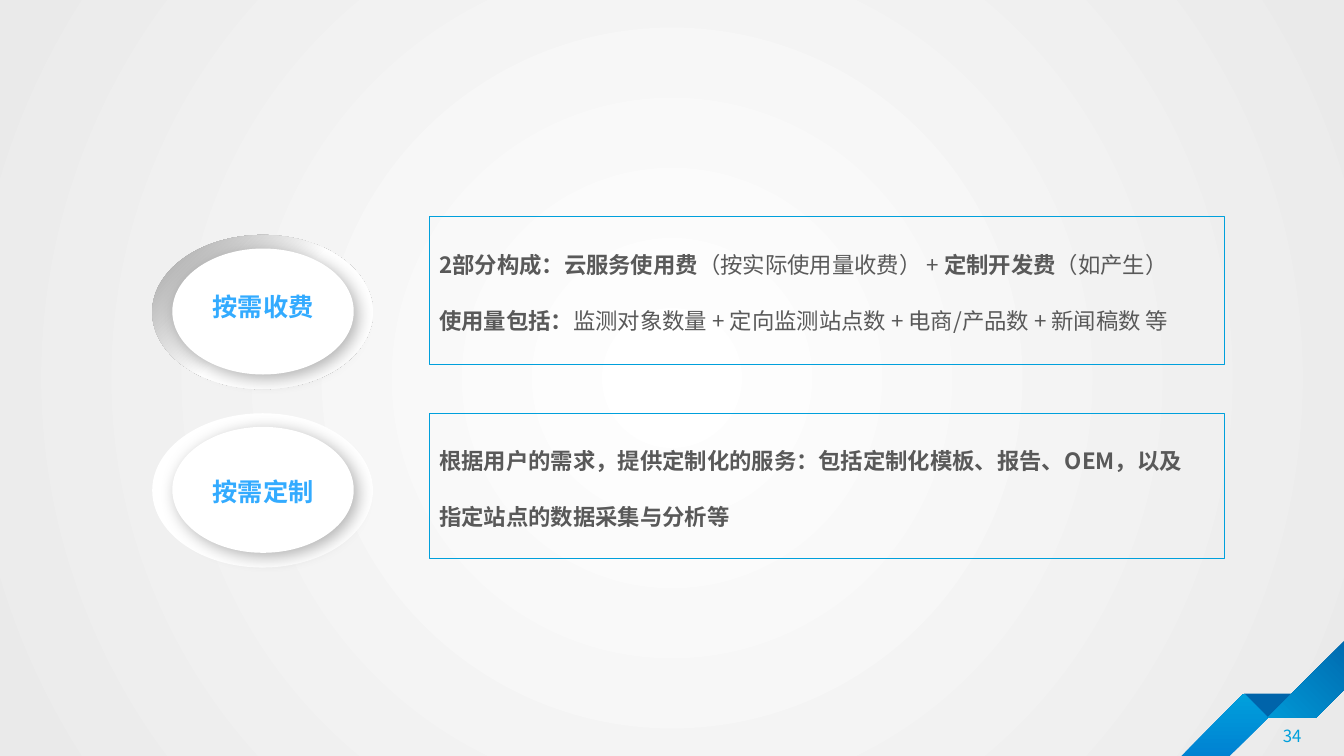
from pptx import Presentation
from pptx.dml.color import RGBColor
from pptx.enum.shapes import MSO_SHAPE
from pptx.enum.text import MSO_ANCHOR, PP_ALIGN
from pptx.oxml import parse_xml
from pptx.oxml.ns import nsdecls, qn
from pptx.util import Pt

FONT = "Noto Sans CJK SC"
COLORS = {name: RGBColor.from_string(value) for name, value in {
    "white": "FFFFFF", "pale": "EAEAEA", "grey": "A6A6A6", "text": "595959",
    "label": "33ABFF", "cyan": "00A0DC", "blue": "0082D2", "navy": "0064AA",
}.items()}


def set_gradient(fill, element, stops, angle=0, center=None):
    """Fill with two stops, linear or circular around a center in percent."""
    fill.gradient()
    fill.gradient_angle = angle
    for stop, (position, color) in zip(fill.gradient_stops, stops):
        stop.position = position
        stop.color.rgb = COLORS[color]
    if center is not None:
        near, far = center * 1000, (100 - center) * 1000
        lin = next(element.iter(qn("a:lin")))
        lin.getparent().replace(lin, parse_xml(
            f'<a:path {nsdecls("a")} path="circle"><a:fillToRect l="{near}" '
            f't="{near}" r="{far}" b="{far}"/></a:path>'))


def set_font(font, size, color, bold=False):
    font.name, font.size, font.bold = FONT, Pt(size), bold
    font.color.rgb = COLORS[color]


prs = Presentation()
prs.slide_width, prs.slide_height = Pt(960), Pt(540)
s = prs.slides.add_slide(prs.slide_layouts[6])

# Background
set_gradient(s.background.fill, s.element, [(0, "white"), (1, "pale")], center=50)

# Folded ribbon in the corner
ribbon = [
    [(905.8, 512.6), (888.5, 495.4), (923, 495.4)],
    [(878.4, 540), (843.8, 540), (888.5, 495.4), (905.8, 512.6)],
]
folds = []
for points in ribbon:
    (x, y), *rest = [(Pt(px), Pt(py)) for px, py in points]
    builder = s.shapes.build_freeform(x, y)
    builder.add_line_segments(rest, close=True)
    folds.append(builder.convert_to_shape())
tail = s.shapes.add_shape(MSO_SHAPE.TRAPEZOID, Pt(902.9), Pt(481.7), Pt(77), Pt(24.5))
tail.adjustments[0] = 0.998
tail.rotation = 135
for sp in [*folds, tail]:
    sp.shadow.inherit = False
    sp.line.fill.background()
folds[0].fill.solid()
folds[0].fill.fore_color.rgb = COLORS["navy"]
set_gradient(folds[1].fill, folds[1].element, [(0, "blue"), (1, "cyan")], angle=90)
set_gradient(tail.fill, tail.element, [(0, "navy"), (1, "cyan")])

# Page number
tf = s.shapes.add_textbox(Pt(897.1), Pt(512.6), Pt(51.8), Pt(26.6)).text_frame
tf.word_wrap = True
tf.vertical_anchor = MSO_ANCHOR.MIDDLE
p = tf.paragraphs[0]
p.text = "34"
p.alignment = PP_ALIGN.CENTER
set_font(p.font, 12, "cyan")

# Oval labels: text, top of the ring, top of the label, shaded ring
for label, top, label_top, shaded in [
    ("按需定制", 295.2, 334.1, False),
    ("按需收费", 167.8, 202.3, True),
]:
    ring = s.shapes.add_shape(MSO_SHAPE.OVAL, Pt(108.7), Pt(top), Pt(157.7), Pt(110.2))
    disc = s.shapes.add_shape(MSO_SHAPE.OVAL, Pt(123.1), Pt(top + 9.7), Pt(129.6), Pt(90))
    for sp in (ring, disc):
        sp.shadow.inherit = False
        sp.line.fill.background()
        sp.fill.solid()
        sp.fill.fore_color.rgb = COLORS["white"]
    if shaded:
        set_gradient(ring.fill, ring.element, [(0.49, "white"), (0.96, "grey")], center=100)
    disc.element.spPr.find(qn("a:effectLst")).append(parse_xml(
        f'<a:outerShdw {nsdecls("a")} blurRad="{Pt(12)}" dist="{Pt(4)}" '
        'dir="2700000" algn="tl" rotWithShape="0">'
        '<a:srgbClr val="000000"><a:alpha val="30000"/></a:srgbClr></a:outerShdw>'))
    tf = s.shapes.add_textbox(Pt(123.1), Pt(label_top), Pt(129.6), Pt(31.7)).text_frame
    tf.word_wrap = True
    p = tf.paragraphs[0]
    p.text = label
    p.alignment = PP_ALIGN.CENTER
    p.line_spacing = Pt(24)
    set_font(p.font, 18, "label", bold=True)

# Description boxes: each line is a list of (text, bold) runs
boxes = [
    (154.8, 105.8, [
        [("2部分构成：云服务使用费", True), ("（按实际使用量收费） + ", False),
         ("定制开发费", True), ("（如产生）", False)],
        [("使用量包括：", True),
         ("监测对象数量 + 定向监测站点数 + 电商/产品数 + 新闻稿数 等", False)],
    ]),
    (295.2, 103.7, [
        [("根据用户的需求，提供定制化的服务：包括定制化模板、报告、OEM，以及", True)],
        [("指定站点的数据采集与分析等", True)],
    ]),
]
for top, height, lines in boxes:
    sp = s.shapes.add_shape(MSO_SHAPE.RECTANGLE, Pt(306.7), Pt(top), Pt(568.1), Pt(height))
    sp.shadow.inherit = False
    sp.fill.background()
    sp.line.color.rgb = COLORS["cyan"]
    sp.line.width = Pt(0.75)
    tf = sp.text_frame
    tf.word_wrap = False
    tf.vertical_anchor = MSO_ANCHOR.TOP
    for i, runs in enumerate(lines):
        p = tf.add_paragraph() if i else tf.paragraphs[0]
        p.alignment = PP_ALIGN.LEFT
        p.line_spacing = Pt(40)
        for text, bold in runs:
            r = p.add_run()
            r.text = text
            set_font(r.font, 16, "text", bold)

prs.save("out.pptx")
